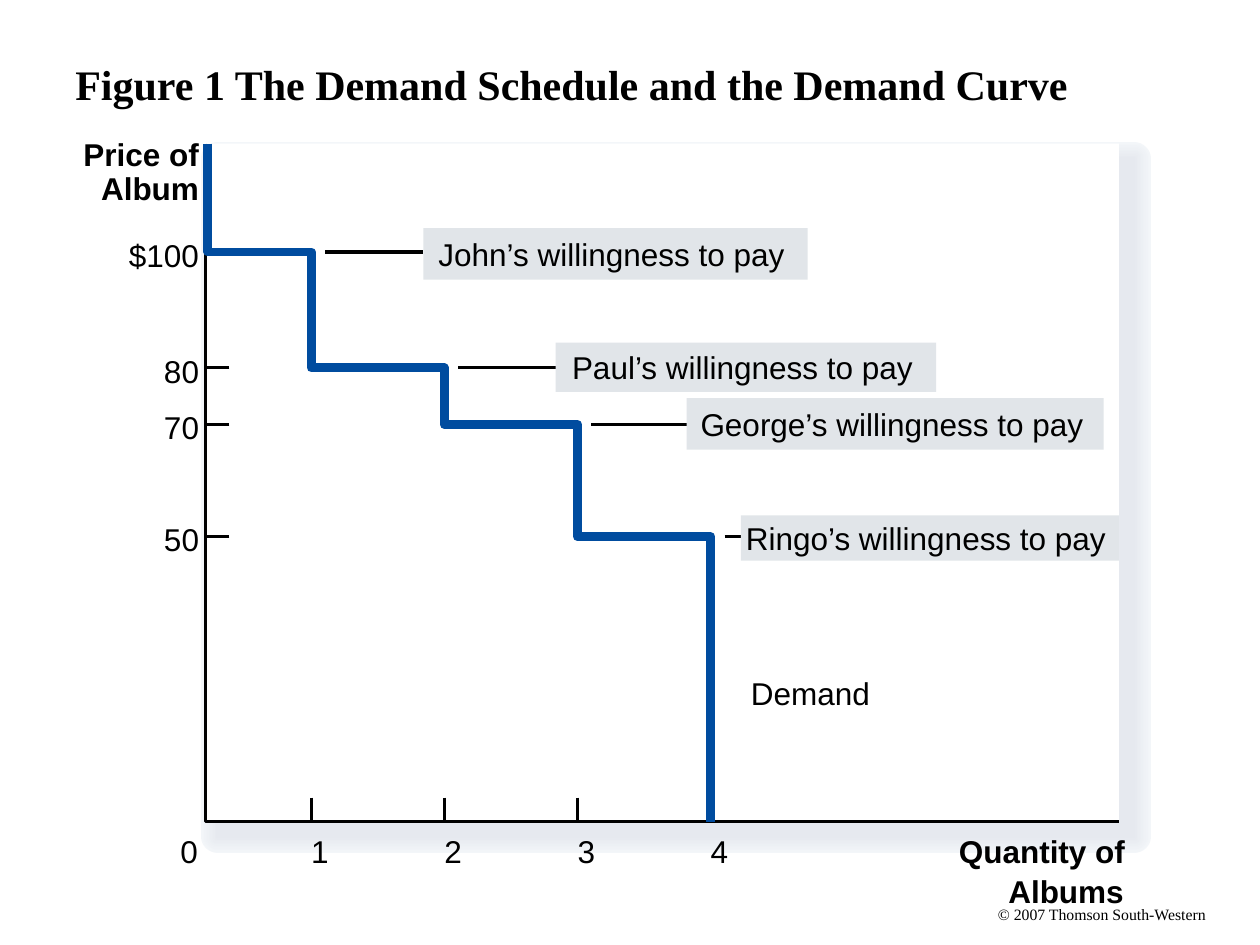
"""Build the stepped demand curve slide with four buyers' willingness to pay."""
from dataclasses import dataclass

from lxml import etree
from pptx import Presentation
from pptx.dml.color import RGBColor
from pptx.enum.shapes import MSO_CONNECTOR, MSO_SHAPE
from pptx.enum.text import MSO_ANCHOR, PP_ALIGN
from pptx.oxml.ns import qn
from pptx.util import Inches, Pt

LEFT, RIGHT = PP_ALIGN.LEFT, PP_ALIGN.RIGHT
MIDDLE = MSO_ANCHOR.MIDDLE
RECTANGLE = MSO_SHAPE.RECTANGLE
STRAIGHT = MSO_CONNECTOR.STRAIGHT


@dataclass(frozen=True)
class Theme:
    serif: str = "Times New Roman"
    sans: str = "Arial"
    ink: str = "000000"
    paper: str = "FFFFFF"
    curve: str = "004C9F"
    tag: str = "E1E5E9"
    shade_outer: str = "F3F6F9"
    shade_inner: str = "E6E9EF"
    title_size: float = 24
    body_size: float = 18
    credit_size: float = 9
    thin: float = 1.75
    thick: float = 5.13
    shade_widest: float = 19


THEME = Theme()
SLIDE_WIDTH, SLIDE_HEIGHT = 10, 7.5
TITLE = "Figure 1 The Demand Schedule and the Demand Curve"
CREDIT = "© 2007 Thomson South-Western"
BUYERS = [
    {"name": "John", "price": "$100", "level": 2.0, "tag": (3.36, 1.81, 3.05, 0.41), "inset": 0.12},
    {"name": "Paul", "price": "80", "level": 2.92, "tag": (4.41, 2.72, 3.02, 0.39), "inset": 0.13},
    {"name": "George", "price": "70", "level": 3.37, "tag": (5.45, 3.16, 3.31, 0.41), "inset": 0.11},
    {"name": "Ringo", "price": "50", "level": 4.26, "tag": (5.88, 4.09, 3.0, 0.36), "inset": 0.04},
]
AXIS_TITLES = [
    ("Price of", 1.58, 1.07),
    ("Album", 1.58, 1.34),
    ("Quantity of", 8.93, 6.6),
    ("Albums", 8.92, 6.92),
]

PLOT_LEFT, PLOT_TOP, PLOT_WIDTH, PLOT_HEIGHT = 1.63, 1.14, 7.25, 5.38
PLOT_RIGHT, PLOT_BOTTOM = PLOT_LEFT + PLOT_WIDTH, PLOT_TOP + PLOT_HEIGHT
CURVE_LEFT = 1.65
FIRST_UNIT, UNIT_STEP = 2.47, 1.057
TICK = 0.19
LEADER_GAP = 0.11
PRICE_RISE = 0.13
NUMBER_TOP, LINE_HEIGHT, DIGIT_WIDTH = 6.6, 0.3, 0.14
LABEL_WIDTH = 1.4
SHADE_LAYERS = 11

deck = Presentation()
deck.slide_width, deck.slide_height = Inches(SLIDE_WIDTH), Inches(SLIDE_HEIGHT)
page = deck.slides.add_slide(deck.slide_layouts[6])


def write(shape, text, size=THEME.body_size, font=THEME.sans, bold=False, align=LEFT, anchor=None, inset=0):
    frame = shape.text_frame
    frame.text = text
    frame.word_wrap = False
    frame.margin_left = Inches(inset)
    frame.margin_right = frame.margin_top = frame.margin_bottom = 0
    if anchor is not None:
        frame.vertical_anchor = anchor
    paragraph = frame.paragraphs[0]
    paragraph.alignment = align
    span = paragraph.runs[0].font
    span.name, span.size, span.bold = font, Pt(size), bold
    span.color.rgb = RGBColor.from_string(THEME.ink)


def add_label(text, left, top, width, height=LINE_HEIGHT, **style):
    box = page.shapes.add_textbox(*map(Inches, (left, top, width, height)))
    write(box, text, **style)


def add_right_label(text, right, top, **style):
    add_label(text, right - LABEL_WIDTH, top, LABEL_WIDTH, align=RIGHT, **style)


def set_line(shape, color, width):
    shape.line.color.rgb = RGBColor.from_string(color)
    shape.line.width = Pt(width)


def add_box(bounds, fill, line_width=0):
    box = page.shapes.add_shape(RECTANGLE, *map(Inches, bounds))
    box.shadow.inherit = False
    box.fill.solid()
    box.fill.fore_color.rgb = RGBColor.from_string(fill)
    if line_width:
        set_line(box, fill, line_width)
    else:
        box.line.fill.background()
    return box


def add_line(start, end):
    line = page.shapes.add_connector(STRAIGHT, *map(Inches, (*start, *end)))
    set_line(line, THEME.ink, THEME.thin)
    etree.SubElement(line._element.spPr, qn("a:effectLst"))


def add_path(points, color, width):
    corners = [(Inches(x), Inches(y)) for x, y in points]
    builder = page.shapes.build_freeform(*corners[0])
    builder.add_line_segments(corners[1:], close=False)
    path = builder.convert_to_shape()
    path.shadow.inherit = False
    path.fill.background()
    set_line(path, color, width)


def blend(start, end, share):
    pairs = zip(bytes.fromhex(start), bytes.fromhex(end))
    return bytes(round(a + (b - a) * share) for a, b in pairs).hex().upper()


add_label(CREDIT, 7.92, 7.18, 1.66, 0.15, size=THEME.credit_size, font=THEME.serif)
add_label(TITLE, 0.5, 0.04, 9, 1.25, size=THEME.title_size, font=THEME.serif,
          bold=True, anchor=MIDDLE, inset=0.1)

for layer in range(SHADE_LAYERS):
    share = layer / (SHADE_LAYERS - 1)
    add_box((PLOT_LEFT + 0.1, PLOT_TOP + 0.12, PLOT_WIDTH + 0.02, PLOT_HEIGHT),
            blend(THEME.shade_outer, THEME.shade_inner, share),
            THEME.shade_widest + (THEME.thin - THEME.shade_widest) * share)
add_box((PLOT_LEFT, PLOT_TOP, PLOT_WIDTH, PLOT_HEIGHT), THEME.paper)
add_path([(PLOT_LEFT, PLOT_TOP), (PLOT_LEFT, PLOT_BOTTOM), (PLOT_RIGHT, PLOT_BOTTOM)],
         THEME.ink, THEME.thin)

units = [FIRST_UNIT + UNIT_STEP * index for index in range(len(BUYERS))]
steps = [(CURVE_LEFT, PLOT_TOP), (CURVE_LEFT, BUYERS[0]["level"])]
next_levels = [buyer["level"] for buyer in BUYERS[1:]] + [PLOT_BOTTOM]
for unit, buyer, next_level in zip(units, BUYERS, next_levels):
    level = buyer["level"]
    steps += [(unit, level), (unit, next_level)]
    add_line((PLOT_LEFT + TICK, level), (PLOT_LEFT, level))
    add_line((unit, PLOT_BOTTOM - TICK), (unit, PLOT_BOTTOM))
add_path(steps, THEME.curve, THEME.thick)

for text, right, top in AXIS_TITLES:
    add_right_label(text, right, top, bold=True)
add_right_label("0", 1.57, NUMBER_TOP)
add_label("Demand", 5.96, 5.35, 0.95)

for number, (unit, buyer) in enumerate(zip(units, BUYERS), start=1):
    level = buyer["level"]
    add_label(str(number), unit, NUMBER_TOP, DIGIT_WIDTH)
    add_right_label(buyer["price"], 1.58, level - PRICE_RISE)
    add_line((unit + LEADER_GAP, level), (buyer["tag"][0], level))
    tag = add_box(buyer["tag"], THEME.tag)
    write(tag, f"{buyer['name']}’s willingness to pay", anchor=MIDDLE, inset=buyer["inset"])

deck.save("out.pptx")
